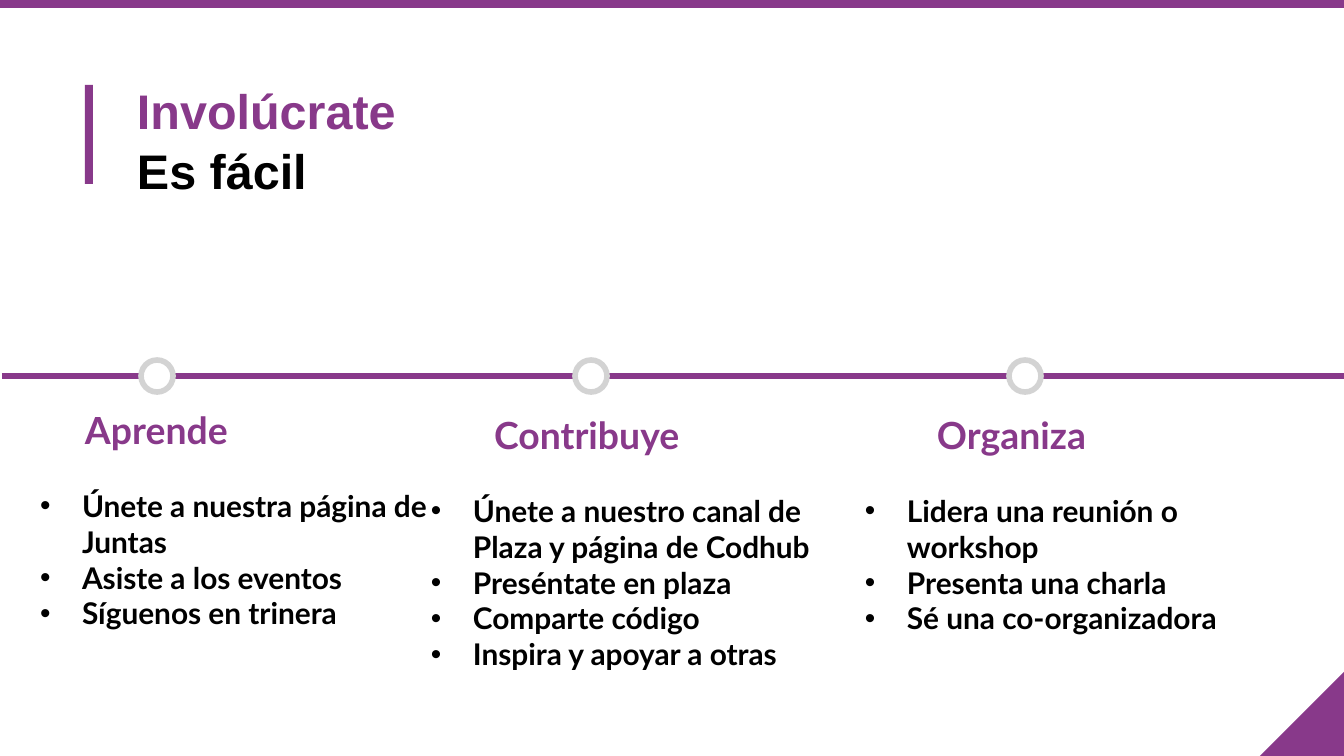
from dataclasses import dataclass

from lxml.etree import SubElement
from pptx import Presentation
from pptx.dml.color import RGBColor
from pptx.enum.shapes import MSO_CONNECTOR as Connector, MSO_SHAPE as Shape
from pptx.enum.text import MSO_ANCHOR as Anchor
from pptx.oxml.ns import qn
from pptx.util import Emu, Pt

SCALE = 914400 / 134.4  # EMU in one px
WIDTH, HEIGHT = 1344, 756
INSET = 13
COLORS = {"purple": "88398A", "gray": "D3D3D3", "white": "FFFFFF", "black": "000000"}
TITLE = {"name": "Arial", "size": Pt(26), "bold": True}
HEADING = {"name": "Lato", "size": Pt(20), "bold": True}
ITEM = {"name": "Lato", "size": Pt(16), "bold": True}


@dataclass
class Frame:
    left: int
    top: int
    width: int
    height: int

    def emu(self) -> list[Emu]:
        return [px(n) for n in (self.left, self.top, self.width, self.height)]


@dataclass
class Step:
    frame: Frame
    heading: str
    heading_indent: int
    items: list[str]


STEPS = [
    Step(Frame(27, 394, 413, 281), "Aprende", 45, [
        "Únete a nuestra página de Juntas",
        "Asiste a los eventos",
        "Síguenos en trinera",
    ]),
    Step(Frame(418, 399, 465, 281), "Contribuye", 63, [
        "Únete a nuestro canal de Plaza y página de Codhub",
        "Preséntate en plaza",
        "Comparte código",
        "Inspira y apoyar a otras",
    ]),
    Step(Frame(852, 399, 465, 281), "Organiza", 72, [
        "Lidera una reunión o workshop",
        "Presenta una charla",
        "Sé una co-organizadora",
    ]),
]


def px(length: int) -> Emu:
    return Emu(round(length * SCALE))


def color(name: str) -> RGBColor:
    return RGBColor.from_string(COLORS[name])


def add_filled(page, kind: Shape, frame: Frame, fill: str, outline: str | None = None):
    shape = page.shapes.add_shape(kind, *frame.emu())
    shape.shadow.inherit = False
    shape.fill.solid()
    shape.fill.fore_color.rgb = color(fill)
    if outline:
        shape.line.color.rgb = color(outline)
        shape.line.width = Pt(3)
    else:
        shape.line.fill.background()
    return shape


def add_line(page, left: int, right: int, y: int) -> None:
    line = page.shapes.add_connector(Connector.STRAIGHT, px(left), px(y), px(right), px(y))
    line.line.color.rgb = color("purple")
    line.line.width = Pt(3)
    SubElement(line.element.spPr, qn("a:effectLst"))


def add_text_box(page, frame: Frame, inset_top: int = INSET):
    text = page.shapes.add_textbox(*frame.emu()).text_frame
    settings = {
        "word_wrap": True, "vertical_anchor": Anchor.TOP, "margin_top": px(inset_top),
        "margin_left": px(INSET), "margin_right": px(INSET), "margin_bottom": px(INSET),
    }
    for name, value in settings.items():
        setattr(text, name, value)
    return text


def write(para, words: str, style: dict, tint: str) -> None:
    span = para.add_run()
    span.text = words
    for name, value in style.items():
        setattr(span.font, name, value)
    span.font.color.rgb = color(tint)


def indent(para, margin: int, first: int, bullet: str = "") -> None:
    props = para._p.get_or_add_pPr()
    props.set("marL", str(px(margin)))
    props.set("indent", str(px(first)))
    if bullet:
        SubElement(props, qn("a:buFont"), typeface="Arial")
        SubElement(props, qn("a:buChar"), char=bullet)


def add_step(page, step: Step) -> None:
    box = add_text_box(page, step.frame)
    heading = box.paragraphs[0]
    indent(heading, 0, step.heading_indent)
    write(heading, step.heading, HEADING, "purple")
    for number, item in enumerate(step.items):
        para = box.add_paragraph()
        indent(para, 42, -42, "•")
        if number == 0:
            para.space_before = Pt(19.2)
        write(para, item, ITEM, "black")


def main() -> None:
    deck = Presentation()
    deck.slide_width, deck.slide_height = px(WIDTH), px(HEIGHT)
    page = deck.slides.add_slide(deck.slide_layouts[6])

    # Corner, title accent and top band
    corner = add_filled(page, Shape.RIGHT_TRIANGLE, Frame(WIDTH - 84, HEIGHT - 84, 84, 84), "purple")
    corner.rotation = 270
    add_filled(page, Shape.RECTANGLE, Frame(85, 85, 8, 99), "purple")
    add_filled(page, Shape.RECTANGLE, Frame(0, 0, WIDTH, 8), "purple")

    # Title
    title = add_text_box(page, Frame(124, 62, 474, 126), inset_top=19)
    write(title.paragraphs[0], "Involúcrate", TITLE, "purple")
    subtitle = title.add_paragraph()
    subtitle.space_before = Pt(1)
    write(subtitle, "Es fácil", TITLE, "black")

    # Timeline with evenly spaced markers
    add_line(page, 2, WIDTH, 376)
    for number in range(len(STEPS)):
        add_filled(page, Shape.OVAL, Frame(141 + 434 * number, 360, 32, 32), "white", "gray")

    # Steps
    for step in STEPS:
        add_step(page, step)

    deck.save("out.pptx")


if __name__ == "__main__":
    main()
